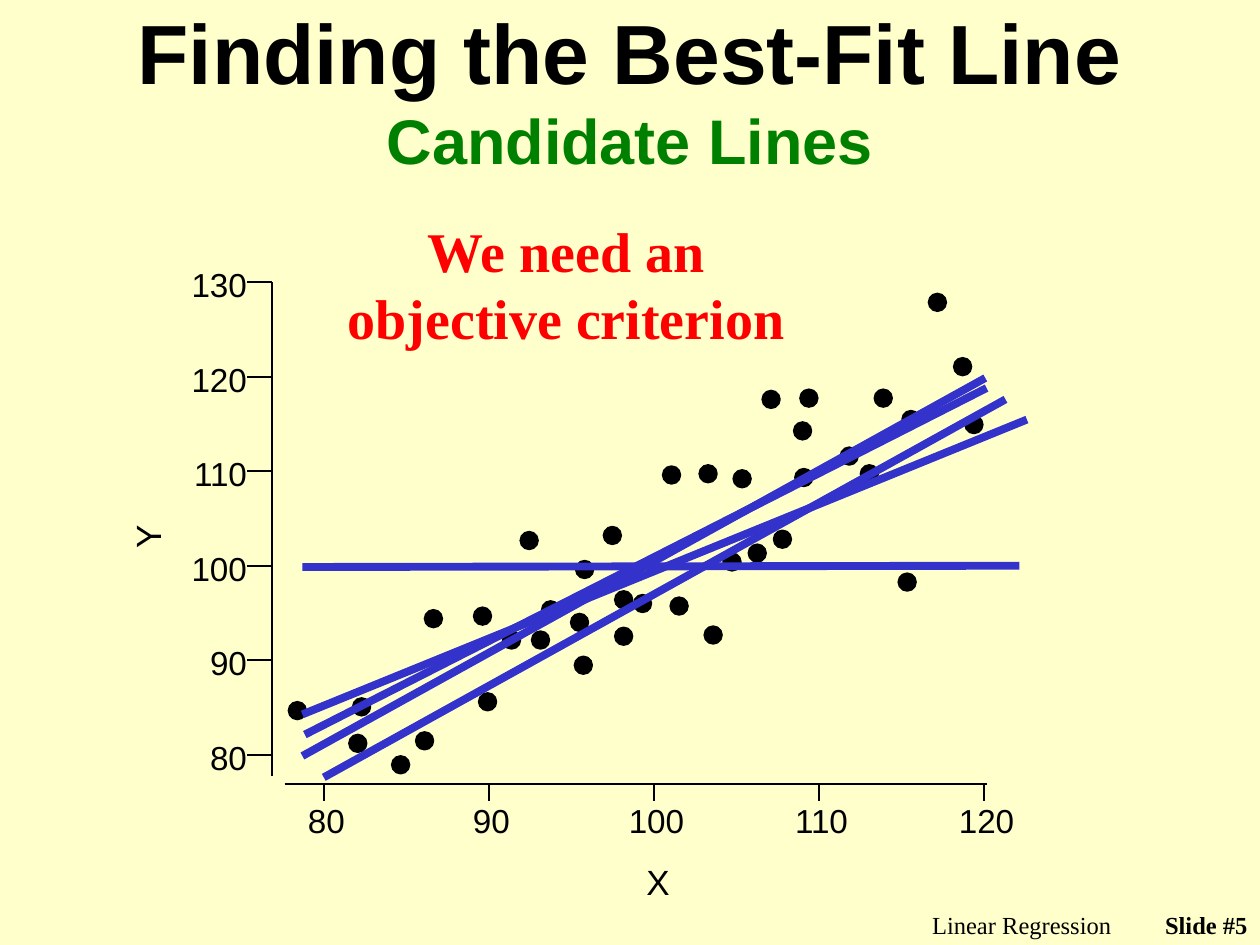
from pptx import Presentation
from pptx import util as u
from pptx.dml.color import RGBColor
from pptx.enum import shapes, text
from pptx.oxml import ns
from lxml import etree

CREAM = RGBColor(0xFF, 0xFF, 0xCC)
BLACK = RGBColor(0, 0, 0)
GREEN = RGBColor(0, 0x80, 0)
BLUE = RGBColor(0x33, 0x33, 0xCC)
RED = RGBColor(0xFF, 0, 0)
SANS, SERIF = "Arial", "Times New Roman"
LEFT, CENTER, RIGHT = text.PP_ALIGN.LEFT, text.PP_ALIGN.CENTER, text.PP_ALIGN.RIGHT

DOT = 0.14
X_AXIS, Y_AXIS = 6.22, 2.16
X_START, X_STEP = 2.57, 1.31
Y_START, Y_STEP = 5.99, -0.75

POINTS = [
    (3.8, 5.5), (3.99, 5.01), (2.77, 5.83), (4.53, 4.87), (4.88, 4.98),
    (5.03, 4.72), (7.57, 2.84), (7.37, 2.33), (6.14, 4.21), (4.56, 5.21),
    (7.66, 3.3), (7.13, 4.55), (4.88, 4.69), (6.31, 3.72), (5.32, 4.74),
    (2.8, 5.54), (7.16, 3.26), (4.3, 4.77), (5.55, 3.69), (6.35, 3.09),
    (6.05, 3.1), (3.37, 4.84), (6.94, 3.09), (6.67, 3.55), (6.83, 3.69),
    (6.3, 3.35), (3.3, 5.81), (5.26, 3.7), (5.74, 4.39), (5.59, 4.97),
    (4.79, 4.18), (2.29, 5.57), (4.13, 4.22), (3.11, 6), (5.94, 4.32),
    (5.82, 3.73), (4.57, 4.45), (3.76, 4.82), (4.22, 5.01),
]

CANDIDATES = [
    (2.4, 4.5, 8.09, 4.49),
    (2.57, 6.17, 7.98, 3.17),
    (2.4, 5.67, 8.15, 3.33),
    (2.42, 5.83, 7.83, 3.08),
    (2.4, 6, 7.82, 3),
]


def add_run(p, words, size=19, font=SANS, color=BLACK, bold=False):
    r = p.add_run()
    r.text = words
    r.font.size = u.Pt(size)
    r.font.name = font
    r.font.color.rgb = color
    r.font.bold = bold


class SlideBuilder:
    def __init__(self, prs):
        self.s = prs.slides.add_slide(prs.slide_layouts[5])
        self.s.background.fill.solid()
        self.s.background.fill.fore_color.rgb = CREAM

    def title(self, heading, subheading):
        sp = self.s.shapes.title
        sp.left, sp.top = u.Inches(0.75), u.Inches(0.08)
        sp.width, sp.height = u.Inches(8.5), u.Inches(1.25)
        tf = sp.text_frame
        tf.auto_size = text.MSO_AUTO_SIZE.NONE
        tf.vertical_anchor = text.MSO_ANCHOR.MIDDLE
        p = tf.paragraphs[0]
        p.alignment = CENTER
        add_run(p, heading, size=48, bold=True)
        p.add_line_break()
        add_run(p, subheading, size=36, color=GREEN, bold=True)

    def text(self, words, x, y, w, h, align=LEFT, inset=True, rotation=0, **style):
        sp = self.s.shapes.add_textbox(u.Inches(x), u.Inches(y), u.Inches(w), u.Inches(h))
        sp.rotation = rotation
        tf = sp.text_frame
        tf.word_wrap = inset
        if not inset:
            tf.margin_left = tf.margin_right = tf.margin_top = tf.margin_bottom = 0
        p = tf.paragraphs[0]
        p.alignment = align
        add_run(p, words, **style)

    def dot(self, x, y):
        sp = self.s.shapes.add_shape(
            shapes.MSO_SHAPE.OVAL, u.Inches(x), u.Inches(y), u.Inches(DOT), u.Inches(DOT))
        sp.shadow.inherit = False
        sp.fill.solid()
        sp.fill.fore_color.rgb = BLACK
        sp.line.color.rgb = BLACK
        sp.line.width = u.Pt(1)

    def line(self, x1, y1, x2, y2, color=BLACK, width=1):
        c = self.s.shapes.add_connector(
            shapes.MSO_CONNECTOR.STRAIGHT,
            u.Inches(x1), u.Inches(y1), u.Inches(x2), u.Inches(y2))
        c.line.color.rgb = color
        c.line.width = u.Pt(width)
        etree.SubElement(c._element.spPr, ns.qn("a:effectLst"))

    def x_axis(self):
        self.line(2.26, X_AXIS, 7.83, X_AXIS)
        for i, value in enumerate(range(80, 121, 10)):
            x = X_START + i * X_STEP
            self.line(x, X_AXIS, x, X_AXIS + 0.14)
            self.text(str(value), x - 0.2, 6.35, 0.44, 0.32, align=CENTER, inset=False)
        self.text("X", 5.13, 6.83, 0.19, 0.33, inset=False, size=20)

    def y_axis(self):
        self.line(Y_AXIS, 6.16, Y_AXIS, 2.24)
        for i, value in enumerate(range(80, 131, 10)):
            y = Y_START + i * Y_STEP
            self.line(Y_AXIS, y, Y_AXIS - 0.2, y)
            self.text(str(value), 1.52, y - 0.14, 0.44, 0.32, align=RIGHT, inset=False)
        self.text("Y", 1.07, 4.09, 0.19, 0.33, inset=False, rotation=270, size=20)


def main():
    prs = Presentation()
    prs.slide_width, prs.slide_height = u.Inches(10), u.Inches(7.5)
    b = SlideBuilder(prs)
    b.title("Finding the Best-Fit Line", "Candidate Lines")
    b.text("Linear Regression", 5.75, 7.17, 3.17, 0.25, align=RIGHT, size=14, font=SERIF)
    b.text("Slide #5", 8.92, 7.17, 1.08, 0.25, align=RIGHT, size=14, font=SERIF, bold=True)
    for point in POINTS:
        b.dot(*point)
    b.x_axis()
    b.y_axis()
    for ends in CANDIDATES:
        b.line(*ends, color=BLUE, width=4.5)
    b.text("We need an objective criterion", 2.58, 1.67, 3.83, 1.17,
           align=CENTER, size=32, font=SERIF, color=RED, bold=True)
    prs.save("out.pptx")


if __name__ == "__main__":
    main()
